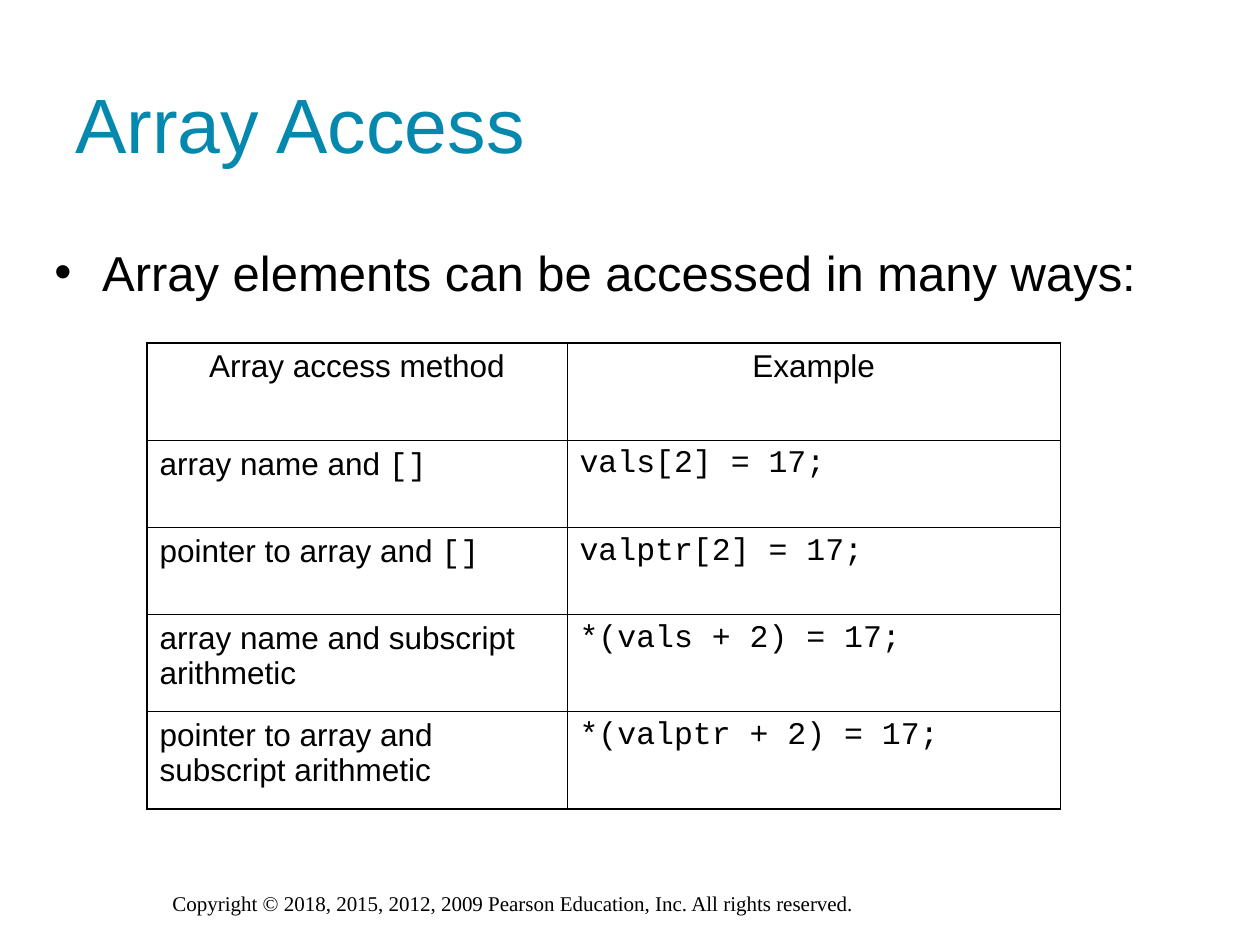
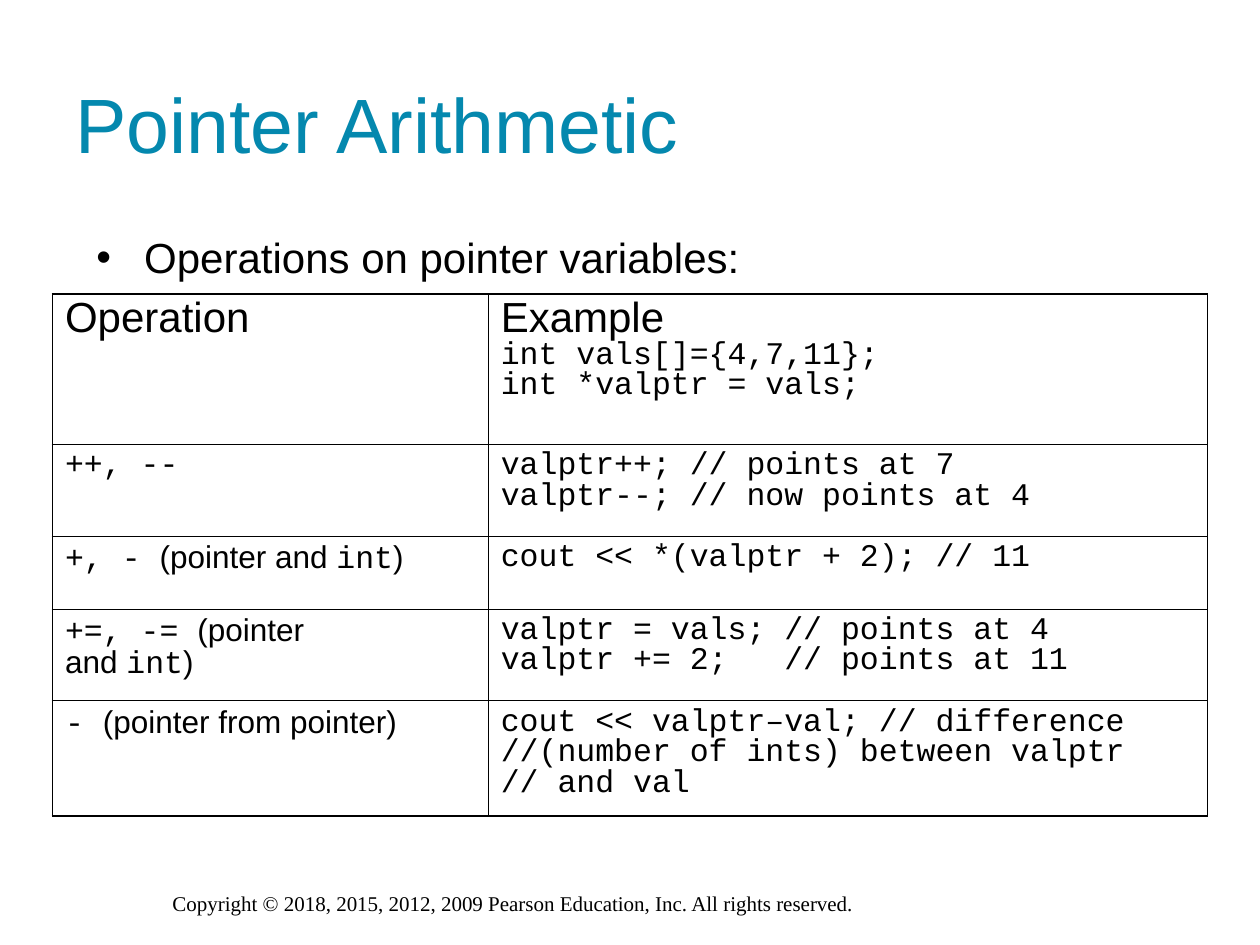
from lxml.etree import SubElement
from pptx import Presentation
from pptx.dml.color import RGBColor
from pptx.enum.text import MSO_ANCHOR, PP_ALIGN
from pptx.oxml.ns import qn
from pptx.util import Inches, Pt

TEAL = RGBColor(0x04, 0x88, 0xAE)
BLACK = RGBColor(0, 0, 0)
SANS, CODE, SERIF = "Arial", "Courier New", "Times New Roman"
COLUMNS, ROWS = 120, 90  # layout grid over the whole slide
OUTER, INNER = Pt(1.08), Pt(0.45)
COPYRIGHT = ("Copyright © 2018, 2015, 2012, 2009 Pearson Education, Inc. "
             "All rights reserved.")


def write(tf, text, size=18, first_size=None, font=SANS, color=BLACK,
          align=PP_ALIGN.LEFT, spacing=None, bullet=False):
    """Fill a text frame: one paragraph a line, `backticks` mark code."""
    for i, line in enumerate(text.split("\n")):
        p = tf.add_paragraph() if i else tf.paragraphs[0]
        p.alignment = align
        if spacing:
            p.line_spacing = spacing
        if bullet:
            add_bullet(p)
        for j, part in enumerate(line.split("`")):
            if part:
                r = p.add_run()
                r.text = part
                r.font.name = CODE if j % 2 else font
                r.font.size = Pt(first_size if first_size and i == 0 else size)
                r.font.color.rgb = color


def add_bullet(p):
    pPr = p._p.get_or_add_pPr()
    pPr.set("marL", str(Inches(0.38)))
    pPr.set("indent", str(-Inches(0.38)))
    SubElement(pPr, qn("a:buFont"), typeface=SANS)
    SubElement(pPr, qn("a:buChar"), char="•")


def add_border(cell, side, width):
    ln = SubElement(cell._tc.get_or_add_tcPr(), qn(f"a:ln{side}"), w=str(width))
    fill = SubElement(ln, qn("a:solidFill"))
    SubElement(fill, qn("a:srgbClr"), val=str(BLACK))


class Deck:
    """Shared style, the grid and the current slide."""

    def __init__(self):
        self.prs = Presentation()
        self.prs.slide_width, self.prs.slide_height = Inches(10), Inches(7.5)
        self.s = None

    def x(self, columns):
        return round(self.prs.slide_width * columns / COLUMNS)

    def y(self, rows):
        return round(self.prs.slide_height * rows / ROWS)

    def slide(self, title):
        self.s = self.prs.slides.add_slide(self.prs.slide_layouts[6])
        self.text(15.25, 84.25, 69.75, 3.6, COPYRIGHT, size=12, font=SERIF)
        self.text(6, 4.2, 108, 15, title, anchor=MSO_ANCHOR.MIDDLE,
                  size=44, color=TEAL)

    def text(self, left, top, width, height, text, anchor=MSO_ANCHOR.TOP,
             **style):
        sp = self.s.shapes.add_textbox(self.x(left), self.y(top),
                                       self.x(width), self.y(height))
        tf = sp.text_frame
        tf.word_wrap = True
        tf.vertical_anchor = anchor
        write(tf, text, **style)

    def table(self, left, top, widths, heights, rows, header, **style):
        frame = self.s.shapes.add_table(
            len(heights), len(widths), self.x(left), self.y(top),
            self.x(sum(widths)), self.y(sum(heights)))
        table = frame.table
        table.first_row = table.horz_banding = False
        for column, width in zip(table.columns, widths):
            column.width = self.x(width)
        for row, height in zip(table.rows, heights):
            row.height = self.y(height)
        last_row, last_column = len(heights) - 1, len(widths) - 1
        for i, texts in enumerate(rows):
            for j, text in enumerate(texts):
                cell = table.cell(i, j)
                edges = {"L": j == 0, "R": j == last_column,
                         "T": i == 0, "B": i == last_row}
                for side, is_outer in edges.items():
                    add_border(cell, side, OUTER if is_outer else INNER)
                cell.fill.background()
                cell_style = style if i else {**style, **header}
                write(cell.text_frame, text, **cell_style)


def main():
    deck = Deck()

    # Ways to reach an array element
    deck.slide("Array Access")
    deck.text(4, 22.5, 109, 6, "Array elements can be accessed in many ways:",
              size=28, bullet=True)
    deck.table(14, 32.65, (40, 47), (9.3, 8.3, 8.3, 9.25, 9.25), [
        ("Array access method", "Example"),
        ("array name and `[]`", "`vals[2] = 17;`"),
        ("pointer to array and `[]`", "`valptr[2] = 17;`"),
        ("array name and subscript arithmetic", "`*(vals + 2) = 17;`"),
        ("pointer to array and subscript arithmetic", "`*(valptr + 2) = 17;`"),
    ], header={"align": PP_ALIGN.CENTER})

    # Operators on pointers
    deck.slide("Pointer Arithmetic")
    deck.text(8, 21.5, 103, 6, "Operations on pointer variables:",
              size=24, bullet=True)
    deck.table(5, 28, (41.5, 68.5), (14.3, 8.75, 6.95, 8.75, 10.95), [
        ("Operation",
         "Example\n`int vals[]={4,7,11};`\n`int *valptr = vals;`"),
        ("`++, --`",
         "`valptr++; // points at 7`\n`valptr--; // now points at 4`"),
        ("`+, - `(pointer and `int`)", "`cout << *(valptr + 2); // 11`"),
        ("`+=, -= `(pointer\nand `int`)",
         "`valptr = vals; // points at 4`\n`valptr += 2;   // points at 11`"),
        ("`- `(pointer from pointer)",
         "`cout << valptr–val; // difference`\n"
         "`//(number of ints) between valptr`\n`// and val`"),
    ], header={"first_size": 24}, spacing=0.85)

    deck.prs.save("out.pptx")


if __name__ == "__main__":
    main()
